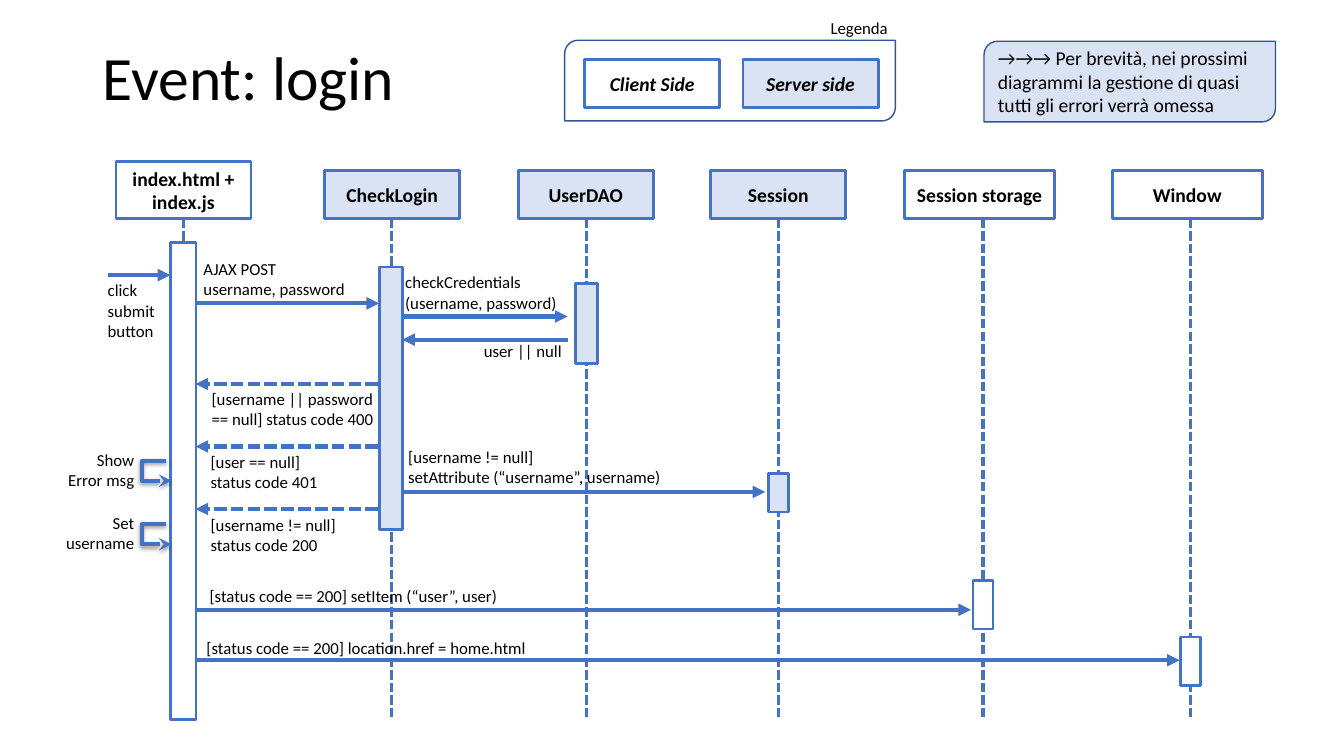
from collections import namedtuple

from lxml import etree
from pptx import Presentation
from pptx.dml.color import RGBColor
from pptx.enum.dml import MSO_LINE
from pptx.enum.shapes import MSO_CONNECTOR, MSO_SHAPE
from pptx.enum.text import MSO_ANCHOR, PP_ALIGN
from pptx.oxml.ns import qn
from pptx.util import Inches, Pt

STRAIGHT, ELBOW = MSO_CONNECTOR.STRAIGHT, MSO_CONNECTOR.ELBOW
RECTANGLE, ROUNDED = MSO_SHAPE.RECTANGLE, MSO_SHAPE.ROUND_2_DIAG_RECTANGLE
LEFT, CENTER, RIGHT = PP_ALIGN.LEFT, PP_ALIGN.CENTER, PP_ALIGN.RIGHT
TOP, MIDDLE = MSO_ANCHOR.TOP, MSO_ANCHOR.MIDDLE
DASH = MSO_LINE.SQUARE_DOT

BLUE = RGBColor(0x44, 0x72, 0xC4)
NAVY = RGBColor(0x32, 0x54, 0x91)
PALE = RGBColor(0xDA, 0xE3, 0xF3)
WHITE = RGBColor(0xFF, 0xFF, 0xFF)
BLACK = RGBColor(0, 0, 0)
FONT = "Calibri"

Box = namedtuple("Box", "left top width height")
Participant = namedtuple("Participant", "name axis head_left head_width head_height fill "
                         "bar_top bar_width bar_height")
Message = namedtuple("Message", "start end row dash text text_left text_top text_width")

# Columns are measured from the left of the diagram, rows from its top.
HEAD_BOTTOM = 0.57
PARTICIPANTS = [
    Participant("index.html + index.js", 1.82, 1.15, 1.34, 0.57, WHITE, 0.81, 0.25, 4.73),
    Participant("CheckLogin", 3.88, 3.22, 1.34, 0.48, PALE, 1.05, 0.23, 2.6),
    Participant("UserDAO", 5.82, 5.14, 1.34, 0.48, PALE, 1.21, 0.22, 0.8),
    Participant("Session", 7.72, 7.05, 1.34, 0.48, PALE, 3.1, 0.2, 0.38),
    Participant("Session storage", 9.75, 8.97, 1.49, 0.48, WHITE, 4.16, 0.2, 0.48),
    Participant("Window", 11.81, 11.03, 1.49, 0.48, WHITE, 4.72, 0.2, 0.48),
]
MESSAGES = [
    Message(1.07, 1.69, 1.13, False, ["click submit button"], 0.97, 1.13, 0.73),
    Message(1.95, 3.76, 1.41, False, ["AJAX POST username, password"], 1.92, 0.92, 1.63),
    Message(3.99, 5.63, 1.54, False, ["checkCredentials (username, password)"],
            3.92, 1.05, 1.71),
    Message(5.63, 3.99, 1.77, False, ["user || null"], 4.7, 1.73, 1),
    Message(3.75, 1.94, 2.21, True, ["[username || password == null] status code 400"],
            2, 2.21, 1.82),
    Message(3.75, 1.94, 2.83, True, ["[user == null]", "status code 401"], 1.99, 2.83, 1.82),
    Message(3.98, 7.59, 3.28, False,
            ["[username != null]", "setAttribute (“username”, username)"], 3.95, 2.78, 2.9),
    Message(3.75, 1.94, 3.45, True, ["[username != null]", "status code 200"],
            1.99, 3.46, 1.82),
    Message(1.94, 9.63, 4.45, False, ["[status code == 200] setItem (“user”, user)"],
            1.98, 4.16, 3.19),
    Message(1.94, 11.7, 4.95, False, ["[status code == 200] location.href = home.html"],
            1.95, 4.68, 3.44),
]
SELF_CALLS = [(2.97, ["Show", "Error msg"]), (3.6, ["Set", "username"])]


def write(shape, lines, size=12, align=LEFT, anchor=TOP, bold=False, italic=False):
    frame = shape.text_frame
    frame.word_wrap = True
    frame.vertical_anchor = anchor
    for index, line in enumerate(lines):
        paragraph = frame.paragraphs[0] if index == 0 else frame.add_paragraph()
        paragraph.alignment = align
        run = paragraph.add_run()
        run.text = line
        font = run.font
        font.name, font.size, font.bold, font.italic = FONT, Pt(size), bold, italic
        font.color.rgb = BLACK
    return frame


def add_label(slide, box, lines, **style):
    label = slide.shapes.add_textbox(*map(Inches, box))
    return write(label, lines, **style)


def add_box(slide, box, fill, kind=RECTANGLE, line=BLUE, weight=2):
    shape = slide.shapes.add_shape(kind, *map(Inches, box))
    shape.shadow.inherit = False
    shape.fill.solid()
    shape.fill.fore_color.rgb = fill
    shape.line.color.rgb = line
    shape.line.width = Pt(weight)
    return shape


def add_line(slide, start, end, weight=3, dash=False, arrow=None, kind=STRAIGHT):
    """Draw a blue connector; returns it with its empty effect list."""
    connector = slide.shapes.add_connector(kind, *map(Inches, (*start, *end)))
    connector.line.color.rgb = BLUE
    connector.line.width = Pt(weight)
    if dash:
        connector.line.dash_style = DASH
    properties = connector._element.spPr
    if arrow:
        etree.SubElement(properties.find(qn("a:ln")), qn("a:tailEnd"), type=arrow)
    return connector, etree.SubElement(properties, qn("a:effectLst"))


def add_title(slide, box):
    frame = add_label(slide, box, ["Event: login"], size=44, anchor=MIDDLE)
    frame.paragraphs[0].line_spacing = 0.9


def add_legend(slide, box):
    add_box(slide, box, WHITE, ROUNDED, NAVY, 1)
    add_label(slide, Box(box.left + 2.54, box.top - 0.27, 1, 0.27), ["Legenda"])
    for index, (name, fill) in enumerate([("Client Side", WHITE), ("Server side", PALE)]):
        entry = Box(box.left + 0.2 + index * 1.57, box.top + 0.19, 1.34, 0.48)
        write(add_box(slide, entry, fill), [name], 14, CENTER, MIDDLE, True, True)


def add_note(slide, box):
    note = add_box(slide, box, PALE, ROUNDED, NAVY, 1)
    write(note, ["→→→ Per brevità, nei prossimi diagrammi la gestione di quasi "
                 "tutti gli errori verrà omessa"], 14, LEFT, MIDDLE)


def add_participant(slide, box, participant):
    """Draw the head, the lifeline and the activation bar."""
    axis, bottom = box.left + participant.axis, box.top + HEAD_BOTTOM
    head = Box(box.left + participant.head_left, bottom - participant.head_height,
               participant.head_width, participant.head_height)
    write(add_box(slide, head, participant.fill), [participant.name], 14, CENTER, MIDDLE, True)
    add_line(slide, (axis, bottom), (axis, box.top + box.height), 2.25, True)
    add_box(slide, Box(axis - participant.bar_width / 2, box.top + participant.bar_top,
                       participant.bar_width, participant.bar_height), participant.fill)


def add_message(slide, box, message):
    row = box.top + message.row
    add_line(slide, (box.left + message.start, row), (box.left + message.end, row),
             dash=message.dash, arrow="triangle")
    add_label(slide, Box(box.left + message.text_left, box.top + message.text_top,
                         message.text_width, 0.48), message.text)


def add_self_call(slide, box, row, lines):
    """Draw a shadowed arrow that leaves the first bar and returns to it."""
    left, top = box.left + 1.65, box.top + row
    connector, effects = add_line(slide, (left, top), (left + 0.05, top + 0.2),
                                  arrow="stealth", kind=ELBOW)
    adjustments = connector._element.spPr.find(qn("a:prstGeom")).find(qn("a:avLst"))
    etree.SubElement(adjustments, qn("a:gd"), name="adj1", fmla="val -484000")
    shadow = etree.SubElement(effects, qn("a:outerShdw"), blurRad=str(Pt(3.1)),
                              dist=str(Pt(1.6)), dir="5400000", rotWithShape="0")
    color = etree.SubElement(shadow, qn("a:srgbClr"), val=str(BLACK))
    etree.SubElement(color, qn("a:alpha"), val="38000")
    add_label(slide, Box(left - 1.17, top - 0.16, 0.95, 0.48), lines, align=RIGHT)


def add_sequence(slide, box):
    for participant in PARTICIPANTS:
        add_participant(slide, box, participant)
    for message in MESSAGES:
        add_message(slide, box, message)
    for row, lines in SELF_CALLS:
        add_self_call(slide, box, row, lines)


def main():
    presentation = Presentation()
    presentation.slide_width, presentation.slide_height = Inches(13.33), Inches(7.5)
    slide = presentation.slides.add_slide(presentation.slide_layouts[6])
    add_title(slide, Box(0.92, 0.4, 4.5, 0.8))
    add_legend(slide, Box(5.6, 0.4, 3.28, 0.8))
    add_note(slide, Box(9.76, 0.41, 2.89, 0.8))
    add_sequence(slide, Box(0, 1.6, 13.33, 5.54))
    presentation.save("out.pptx")


if __name__ == "__main__":
    main()
